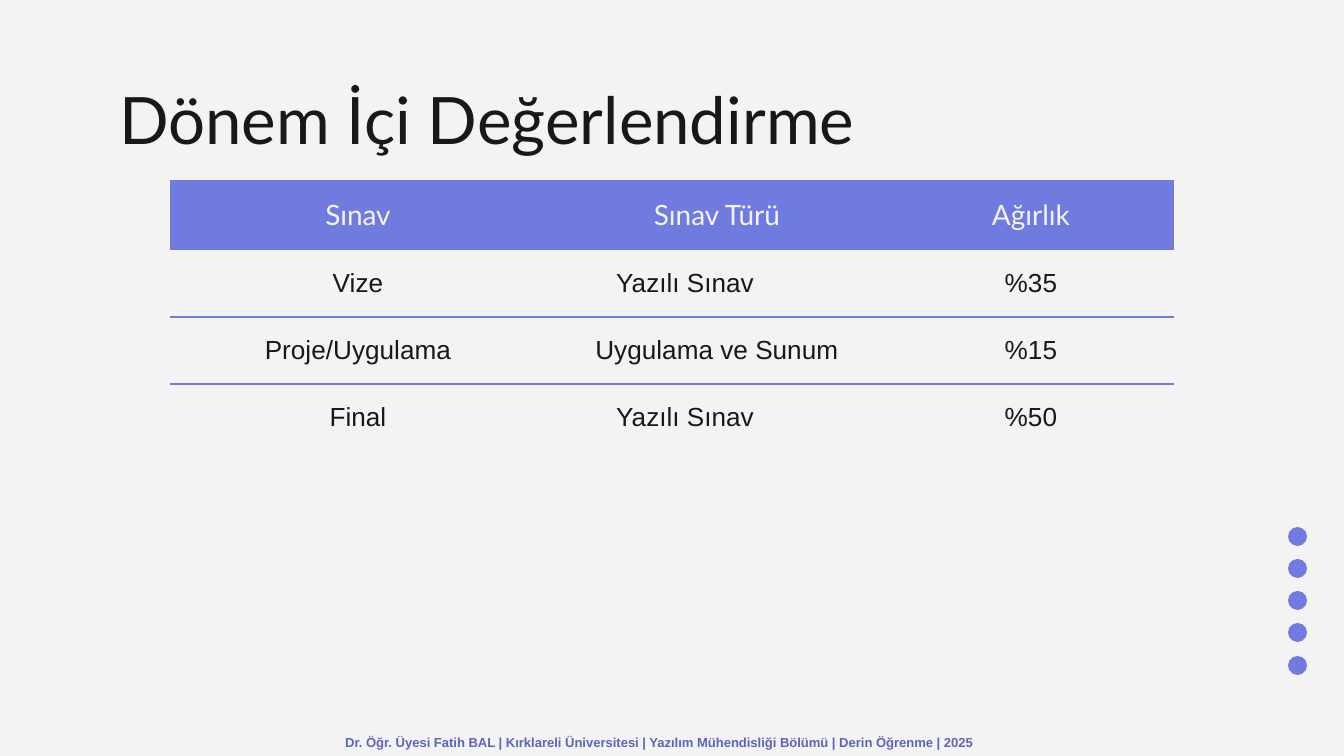
from lxml import etree
from pptx import Presentation
from pptx import util as u
from pptx.dml.color import RGBColor
from pptx.enum import shapes, text
from pptx.oxml.ns import qn

PX = 914400 / 134.4
BACKGROUND = RGBColor(0xF3, 0xF3, 0xF3)
INK = RGBColor(0x18, 0x18, 0x18)
VIOLET = RGBColor(0x70, 0x7B, 0xE0)
DARK_VIOLET = RGBColor(0x5D, 0x65, 0xBB)
NO_TABLE_STYLE = "{2D5ABB26-0587-4C30-8999-92F81FD0307C}"


def px(*lengths):
    """Turn pixel lengths into EMU."""
    return [u.Emu(round(length * PX)) for length in lengths]


def write(frame, words, size, font="Arial", color=INK, bold=False, align=None, spacing=None):
    frame.word_wrap = True
    paragraph = frame.paragraphs[0]
    paragraph.alignment = align
    paragraph.line_spacing = spacing
    run = paragraph.add_run()
    run.text = words
    run.font.size = u.Pt(size)
    run.font.name = font
    run.font.bold = bold
    run.font.color.rgb = color


presentation = Presentation()
presentation.slide_width, presentation.slide_height = px(1344, 756)
slide = presentation.slides.add_slide(presentation.slide_layouts[6])
slide.background.fill.solid()
slide.background.fill.fore_color.rgb = BACKGROUND

# Column of dots
for i in range(5):
    dot = slide.shapes.add_shape(shapes.MSO_SHAPE.OVAL, *px(1288, 527 + i * 129 // 4, 19, 19))
    dot.shadow.inherit = False
    dot.fill.solid()
    dot.fill.fore_color.rgb = VIOLET
    dot.line.fill.background()

# Title and footer
title = slide.shapes.add_textbox(*px(106, 66, 1133, 85))
footer = slide.shapes.add_textbox(*px(332, 728, 680, 27))
for box in (title, footer):
    frame = box.text_frame
    frame.margin_left, frame.margin_top, frame.margin_right, frame.margin_bottom = [u.Inches(0.1)] * 4
footer.text_frame.vertical_anchor = text.MSO_ANCHOR.MIDDLE
write(title.text_frame, "Dönem İçi Değerlendirme", 35, font="Lato")
write(footer.text_frame,
      "Dr. Öğr. Üyesi Fatih BAL | Kırklareli Üniversitesi | Yazılım Mühendisliği Bölümü"
      " | Derin Öğrenme | 2025",
      7, color=DARK_VIOLET, bold=True, spacing=1.15)

# Assessment table
rows = [
    ("Sınav", "Sınav Türü", "Ağırlık"),
    ("Vize", "Yazılı Sınav\t", "%35"),
    ("Proje/Uygulama", "Uygulama ve Sunum", "%15"),
    ("Final", "Yazılı Sınav\t", "%50"),
]
table = slide.shapes.add_table(4, 3, *px(170, 180, 1004, 271)).table
table.first_row = table.horz_banding = False
table._tbl.tblPr.find(qn("a:tableStyleId")).text = NO_TABLE_STYLE
for column, width in zip(table.columns, px(376, 342, 286)):
    column.width = width
for row, height in zip(table.rows, px(70, 67, 67, 67)):
    row.height = height

for i, row in enumerate(rows):
    for j, words in enumerate(row):
        cell = table.cell(i, j)
        cell.vertical_anchor = text.MSO_ANCHOR.MIDDLE
        cell.margin_left = cell.margin_right = u.Inches(0.1)
        cell.margin_top = cell.margin_bottom = u.Inches(0.1)
        if i == 0:
            cell.fill.solid()
            cell.fill.fore_color.rgb = VIOLET
            style = dict(size=15, font="Lato", color=BACKGROUND)
        else:
            cell.fill.background()
            style = dict(size=14)
        write(cell.text_frame, words, align=text.PP_ALIGN.CENTER, **style)

        edges = [tag for tag, ruled in (("a:lnT", i > 1), ("a:lnB", 0 < i < 3)) if ruled]
        for position, tag in enumerate(edges):
            border = etree.Element(qn(tag), w=str(u.Pt(0.75)))
            fill = etree.SubElement(border, qn("a:solidFill"))
            etree.SubElement(fill, qn("a:srgbClr"), val=str(VIOLET))
            cell._tc.tcPr.insert(position, border)

presentation.save("out.pptx")
